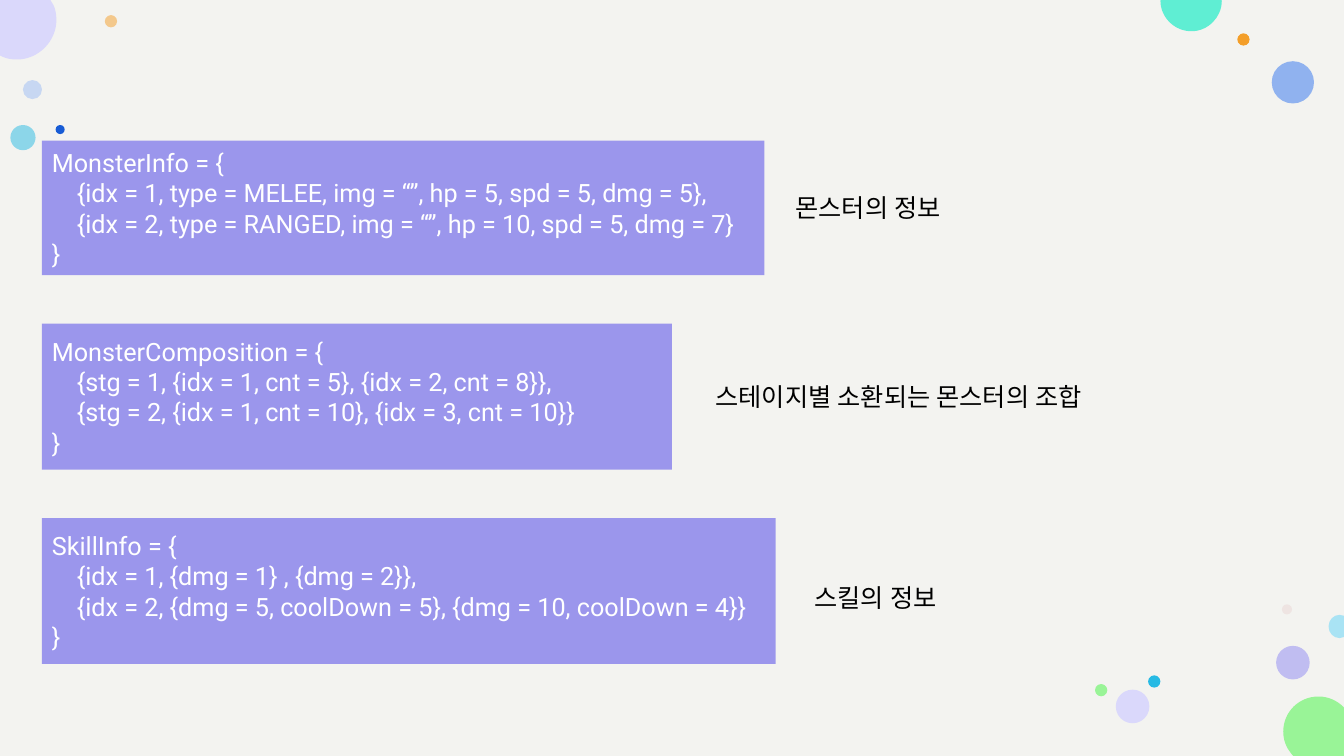
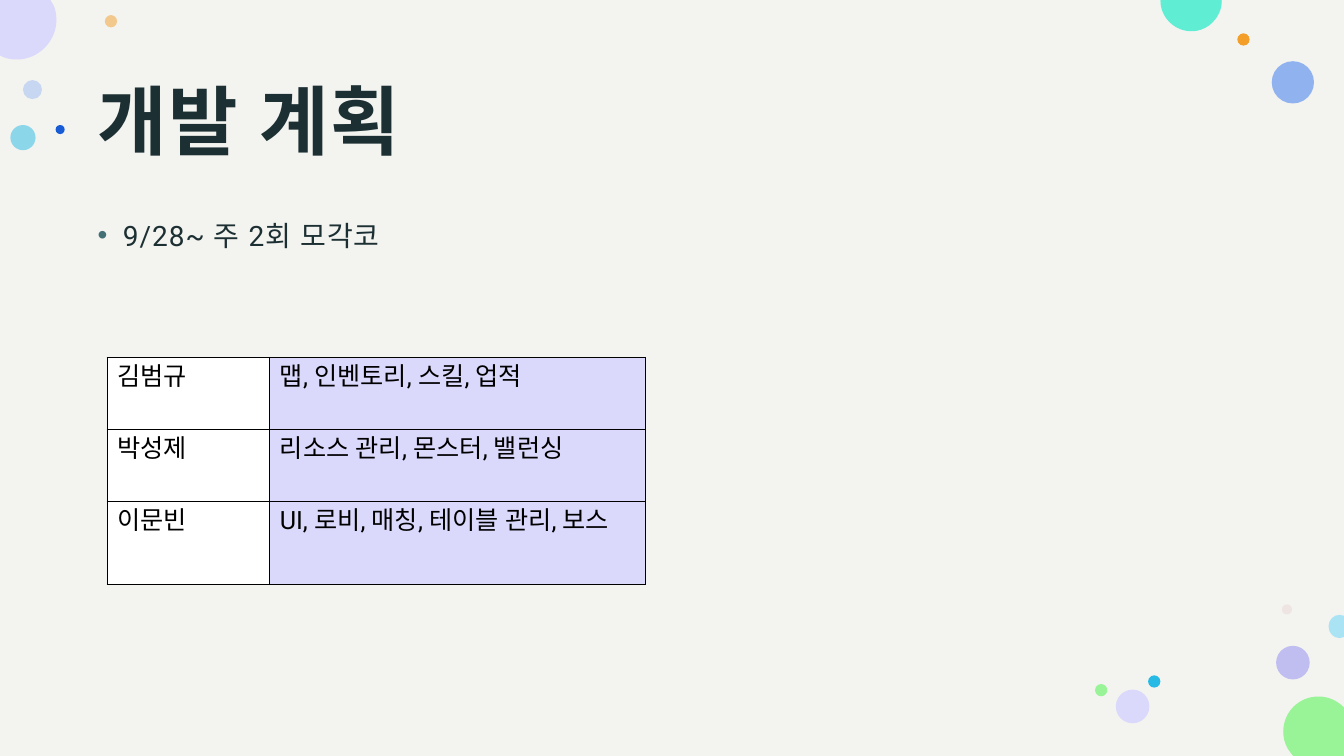
"""Build two slides on a game's data tables and development plan."""
from lxml.etree import SubElement
from pptx import Presentation
from pptx.dml.color import RGBColor
from pptx.enum.shapes import MSO_SHAPE
from pptx.enum.text import MSO_ANCHOR, PP_ALIGN
from pptx.oxml.ns import qn
from pptx.util import Pt

W, H = 960, 540
FONT = "Roboto"
C = {
    "page": "F3F3F0", "ink": "1C2F32", "bullet": "437077",
    "black": "000000", "white": "FFFFFF", "code": "453BE9",
    "lavender": "DAD8FB", "violet": "8F89F2", "green": "99F497",
    "teal": "5FEED3", "cyan": "27BAE4", "ice": "A9E3F4", "orange": "F39E29",
    "sky": "9CBCF4", "azure": "6B9AEF", "blue": "175BD5", "rose": "E3BEBE",
}

# left, top, diameter, colour, opacity in percent
BUBBLES = [
    (16.4, 57.2, 13.6, "sky", 50), (74.9, 10.8, 8.8, "orange", 50),
    (911.5, 461.3, 24, "violet", 50), (7.4, 89.3, 18, "cyan", 50),
    (908.4, 43.7, 30.2, "azure", 72), (883.8, 23.8, 8.8, "orange", 100),
    (915.7, 431.7, 7.2, "rose", 28), (820.1, 482.4, 8.8, "cyan", 100),
    (797, 492.6, 24, "lavender", 100), (782.2, 488.6, 8.8, "green", 100),
    (39.7, 89.3, 6.5, "blue", 100),
]

# colour, outline: a pair is a corner, six numbers are a curve
EDGE_BUBBLES = [
    ("green", [(941.8, 497.5), (949, 497.5, 954.9, 500.4, 959.6, 504.9),
               (W, 505.4), (W, H), (923.8, H), (922.3, 538.3),
               (918.8, 534, 916.6, 528.6, 916.6, 522.7),
               (916.6, 508.5, 927.8, 497.5, 941.8, 497.5)]),
    ("lavender", [(0, 0), (36, 0), (38.2, 3.6),
                  (39.6, 6.5, 40.3, 10.1, 40.3, 14.4),
                  (40.3, 29.5, 27.4, 42.5, 12.2, 42.5),
                  (7.9, 42.5, 4.3, 41.8, 1.4, 40.3), (0, 39.6)]),
    ("teal", [(829, 0), (872.6, 0), (872.7, 0.7),
              (872.7, 12.2, 863, 22.3, 851, 22.3),
              (838.8, 22.3, 828.9, 12.2, 828.9, 0.7)]),
    ("ice", [(956.9, 439.2), (W, 439.9), (W, 455), (956.9, 455.8),
             (952.6, 455.8, 949, 452.2, 949, 447.5),
             (949, 442.8, 952.6, 439.2, 956.9, 439.2)]),
]

CODE_LEFT = 30
LABEL_SIZE = (279.4, 29)
# top, width, height, name, rows, label, label left, label top
CODE_CARDS = [
    (100.5, 516, 96, "MonsterInfo",
     ["{idx = 1, type = MELEE, img = “”, hp = 5, spd = 5, dmg = 5},",
      "{idx = 2, type = RANGED, img = “”, hp = 10, spd = 5, dmg = 7}"],
     "몬스터의 정보", 561.2, 133.9),
    (231.2, 450, 104.3, "MonsterComposition",
     ["{stg = 1, {idx = 1, cnt = 5}, {idx = 2, cnt = 8}},",
      "{stg = 2, {idx = 1, cnt = 10}, {idx = 3, cnt = 10}}"],
     "스테이지별 소환되는 몬스터의 조합", 504, 268.6),
    (370, 524, 104.3, "SkillInfo",
     ["{idx = 1, {dmg = 1} , {dmg = 2}},",
      "{idx = 2, {dmg = 5, coolDown = 5}, {dmg = 10, coolDown = 4}}"],
     "스킬의 정보", 574.6, 412.6),
]

PLAN_TITLE = "개발 계획"
PLAN_NOTE = "9/28~ 주 2회 모각코"
# name, duties, row height
TASKS = [
    ("김범규", "맵, 인벤토리, 스킬, 업적", 51.4),
    ("박성제", "리소스 관리, 몬스터, 밸런싱", 51.4),
    ("이문빈", "UI, 로비, 매칭, 테이블 관리, 보스", 59.3),
]
TASK_AT = (76.5, 255.3)
TASK_COLS = [(116.2, "white"), (268.3, "lavender")]


def rgb(name):
    return RGBColor.from_string(C[name])


def paint(sp, colour, opacity=100):
    sp.shadow.inherit = False
    sp.line.fill.background()
    sp.fill.solid()
    sp.fill.fore_color.rgb = rgb(colour)
    if opacity < 100:
        clr = sp.fill._xPr.find(".//" + qn("a:srgbClr"))
        SubElement(clr, qn("a:alpha"), val=str(opacity * 1000))


def style(tf, colour, size=18, bold=False, spacing=0):
    for p in tf.paragraphs:
        p.alignment = PP_ALIGN.LEFT
        for r in p.runs:
            r.font.name = FONT
            r.font.size = Pt(size)
            r.font.bold = bold
            r.font.color.rgb = rgb(colour)
            rPr = r.font._element
            SubElement(rPr, qn("a:ea"), typeface=FONT)
            if spacing:
                rPr.set("spc", str(int(spacing * 100)))


def indent(p, left, first=0):
    pPr = p._p.get_or_add_pPr()
    pPr.set("marL", str(Pt(left)))
    pPr.set("indent", str(Pt(first)))
    return pPr


def add_text(s, box, text, colour, inset=None, **font):
    tf = s.shapes.add_textbox(*map(Pt, box)).text_frame
    tf.word_wrap = True
    if inset:
        tf.margin_left = tf.margin_right = tf.margin_top = Pt(inset)
    tf.text = text
    style(tf, colour, **font)
    return tf


def add_block(s, preset, box, colour, opacity=100):
    sp = s.shapes.add_shape(preset, *map(Pt, box))
    paint(sp, colour, opacity)
    return sp


def add_edge_bubble(s, colour, outline):
    points = [(Pt(step[i]), Pt(step[i + 1]))
              for step in outline for i in range(0, len(step), 2)]
    fb = s.shapes.build_freeform(*points[0])
    fb.add_line_segments(points[1:], close=True)
    sp = fb.convert_to_shape()
    lines = iter(sp._element.findall(".//" + qn("a:lnTo")))
    for step in outline[1:]:
        first = next(lines)
        if len(step) == 6:
            first.tag = qn("a:cubicBezTo")
            for line in (next(lines), next(lines)):
                first.append(line[0])
                line.getparent().remove(line)
    paint(sp, colour)


def add_page(prs):
    s = prs.slides.add_slide(prs.slide_layouts[6])
    add_block(s, MSO_SHAPE.RECTANGLE, (0, 0, W, H), "page")
    for x, y, d, colour, opacity in BUBBLES:
        add_block(s, MSO_SHAPE.OVAL, (x, y, d, d), colour, opacity)
    for colour, outline in EDGE_BUBBLES:
        add_edge_bubble(s, colour, outline)
    return s


def add_code_card(s, top, width, height, name, rows, label, label_x, label_y):
    sp = add_block(s, MSO_SHAPE.RECTANGLE, (CODE_LEFT, top, width, height),
                   "code", 50)
    tf = sp.text_frame
    tf.vertical_anchor = MSO_ANCHOR.MIDDLE
    tf.text = "\n".join([name + " = {", *rows, "}"])
    style(tf, "white")
    for p in tf.paragraphs[1:-1]:
        indent(p, 17.8)
    add_text(s, (label_x, label_y, *LABEL_SIZE), label, "black")


def add_borders(cell):
    tcPr = cell._tc.get_or_add_tcPr()
    for side in ("lnL", "lnR", "lnT", "lnB"):
        ln = SubElement(tcPr, qn("a:" + side), w=str(Pt(1)))
        SubElement(SubElement(ln, qn("a:solidFill")), qn("a:srgbClr"), val=C["black"])


def add_task_table(s):
    size = (sum(w for w, _ in TASK_COLS), sum(task[2] for task in TASKS))
    table = s.shapes.add_table(len(TASKS), len(TASK_COLS),
                               *map(Pt, TASK_AT + size)).table
    table.first_row = table.horz_banding = False
    for j, (w, _) in enumerate(TASK_COLS):
        table.columns[j].width = Pt(w)
    for i, (name, duties, height) in enumerate(TASKS):
        table.rows[i].height = Pt(height)
        for j, text in enumerate((name, duties)):
            cell = table.cell(i, j)
            cell.text = text
            style(cell.text_frame, "black")
            add_borders(cell)
            cell.fill.solid()
            cell.fill.fore_color.rgb = rgb(TASK_COLS[j][1])


def add_plan(s):
    tf = add_text(s, (61.2, 28.8, 839.5, 104.4), PLAN_TITLE, "ink",
                  inset=8.64, size=54, bold=True, spacing=1)
    tf.margin_bottom = Pt(7.2)
    tf.vertical_anchor = MSO_ANCHOR.MIDDLE
    tf.paragraphs[0].line_spacing = 1.1
    tf = add_text(s, (61.2, 144, 839.5, 342.7), PLAN_NOTE, "ink",
                  inset=8.64, size=20, spacing=0.7)
    p = tf.paragraphs[0]
    p.line_spacing = 1.14
    p.space_before = Pt(10)
    pPr = indent(p, 18, -18)
    SubElement(SubElement(pPr, qn("a:buClr")), qn("a:srgbClr"), val=C["bullet"])
    SubElement(pPr, qn("a:buFont"), typeface="Arial")
    SubElement(pPr, qn("a:buChar"), char="•")
    add_task_table(s)


def main():
    prs = Presentation()
    prs.slide_width, prs.slide_height = Pt(W), Pt(H)
    s = add_page(prs)
    for card in CODE_CARDS:
        add_code_card(s, *card)
    add_plan(add_page(prs))
    prs.save("out.pptx")


if __name__ == "__main__":
    main()
